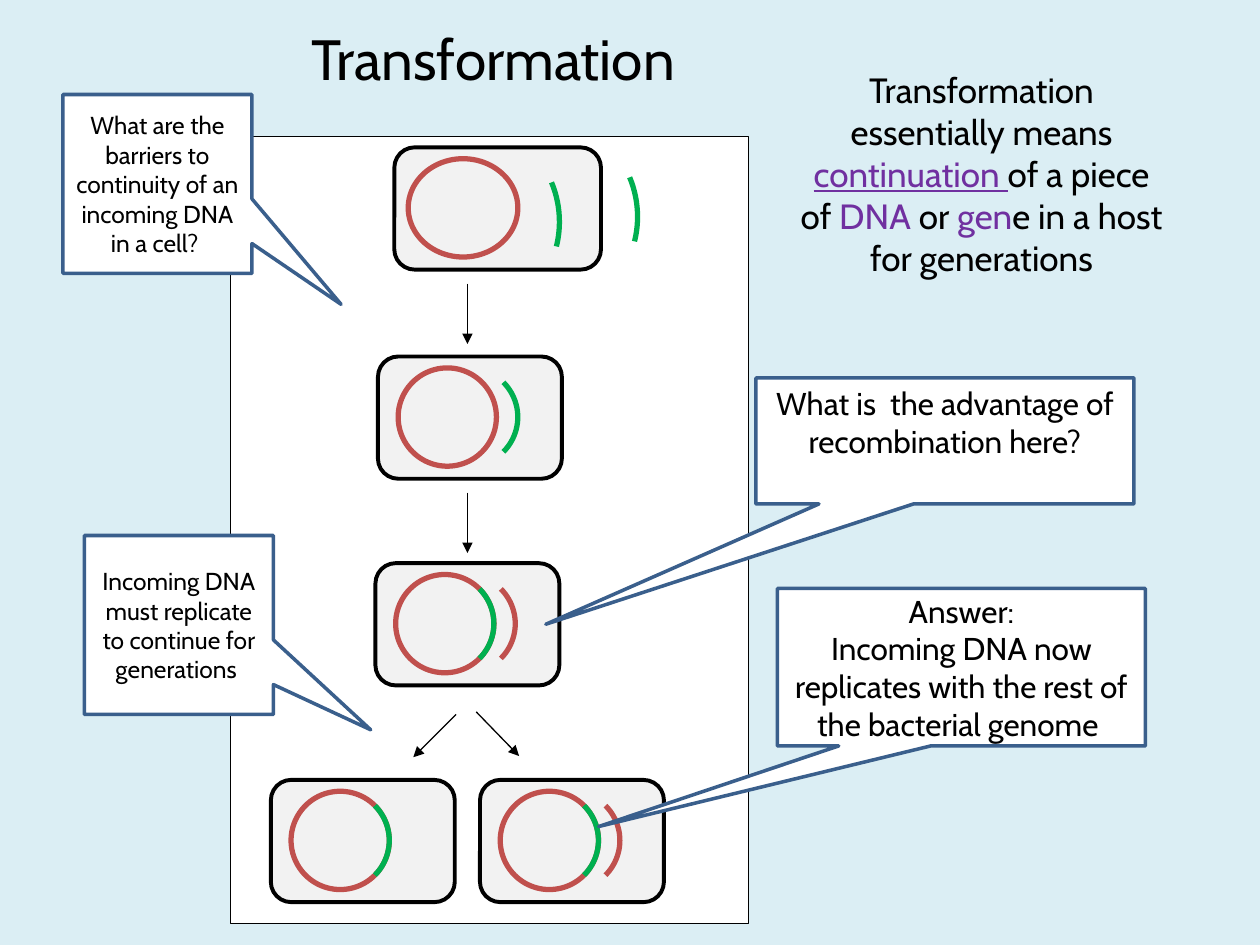
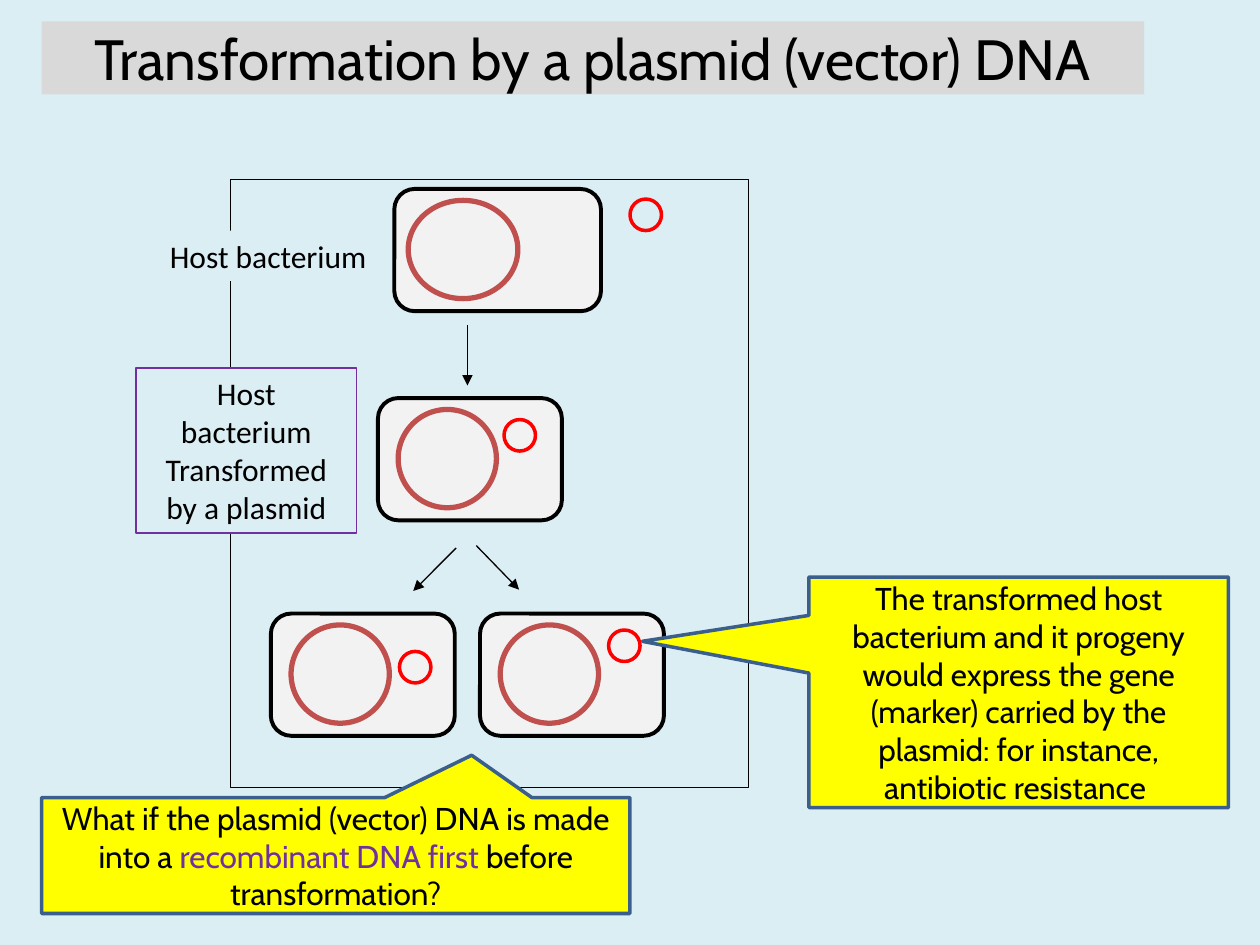
from pptx import Presentation, util as u
from pptx.dml.color import RGBColor
from pptx.enum import shapes, text
from pptx.oxml.ns import qn
from lxml import etree

KIND = shapes.MSO_SHAPE
ALIGN = text.PP_ALIGN
ANCHOR = text.MSO_ANCHOR
PALE, WHITE, BLACK = "DBEEF4", "FFFFFF", "000000"
GREY, BAND, YELLOW = "F2F2F2", "D9D9D9", "FFFF00"
RED, GREEN, BRIGHT = "C0504D", "00B050", "FF0000"
BLUE, PURPLE = "3A5F8C", "7030A0"
FONT = "Cabin"
RING = 0.39


def color(code):
    return RGBColor.from_string(code)


def box_of(*sides):
    return [u.Inches(round(side, 2)) for side in sides]


def paint(shape, fill=None, line=None, width=1):
    if fill:
        shape.fill.solid()
        shape.fill.fore_color.rgb = color(fill)
    else:
        shape.fill.background()
    if line:
        shape.line.color.rgb = color(line)
        shape.line.width = u.Pt(width)
    else:
        shape.line.fill.background()


def draw(slide, kind, box, fill=None, line=None, width=1):
    shape = slide.shapes.add_shape(kind, *box_of(*box))
    shape.shadow.inherit = False
    paint(shape, fill, line, width)
    return shape


def write(shape, paras, size, font=FONT, align=ALIGN.CENTER,
          anchor=ANCHOR.MIDDLE, wrap=True):
    frame = shape.text_frame
    frame.word_wrap = wrap
    frame.auto_size = text.MSO_AUTO_SIZE.NONE
    frame.vertical_anchor = anchor
    for i, parts in enumerate(paras):
        para = frame.add_paragraph() if i else frame.paragraphs[0]
        para.alignment = align
        para.font.name = font
        para.font.size = u.Pt(size)
        para.font.color.rgb = color(BLACK)
        for part in [parts] if isinstance(parts, str) else parts:
            words, tint, under = part if isinstance(part, tuple) else (part, None, False)
            run = para.add_run()
            run.text = words
            if tint:
                run.font.color.rgb = color(tint)
            if under:
                run.font.underline = True


def add_page(deck, title, box, fill):
    slide = deck.slides.add_slide(deck.slide_layouts[5])
    head = slide.shapes.title
    head.left, head.top, head.width, head.height = box_of(*box)
    paint(head, fill)
    write(head, [title], 32.4)
    return slide


def circle(slide, x, y, radius, line, width):
    draw(slide, KIND.OVAL, (x - radius, y - radius, 2 * radius, 2 * radius),
         None, line, width)


def arc(slide, x, y, line, radius=RING, start=315, end=45):
    shape = draw(slide, KIND.ARC, (x - radius, y - radius, 2 * radius, 2 * radius),
                 None, line, 3)
    shape.adjustments[0] = start * 0.6
    shape.adjustments[1] = end * 0.6


def cell(slide, x, y, wide=1.46, ring=0.78):
    draw(slide, KIND.ROUNDED_RECTANGLE, (x, y, wide, 0.97), GREY, BLACK, 2.25)
    mid, level = x + 0.55, y + 0.48
    draw(slide, KIND.OVAL, (mid - ring / 2, level - RING, ring, 2 * RING), GREY, RED, 3)
    return mid, level


def host(slide, y):
    cell(slide, 3.13, y, 1.64, 0.87)


def strand(slide, x, y):
    arc(slide, x, y, GREEN, 0.81, 337.3, 14)


def arrow(slide, x1, y1, x2, y2):
    line = slide.shapes.add_connector(shapes.MSO_CONNECTOR.STRAIGHT,
                                      *box_of(x1, y1, x2, y2))
    line.line.color.rgb = color(BLACK)
    line.line.width = u.Pt(0.75)
    etree.SubElement(line.line._get_or_add_ln(), qn("a:tailEnd"), type="triangle")
    etree.SubElement(line._element.spPr, qn("a:effectLst"))


def step(slide, y):
    arrow(slide, 3.71, y, 3.71, y + 0.48)


def fork(slide, y):
    arrow(slide, 3.78, y, 4.12, y + 0.35)
    arrow(slide, 3.62, y + 0.02, 3.28, y + 0.36)


def callout(slide, box, tip, paras, size=18, fill=WHITE, anchor=ANCHOR.MIDDLE):
    shape = draw(slide, KIND.RECTANGULAR_CALLOUT, box, fill, BLUE, 2)
    for i, value in enumerate(tip):
        shape.adjustments[i] = value
    write(shape, paras, size, anchor=anchor)


def label(slide, box, paras, line=None, align=ALIGN.CENTER, wrap=True):
    shape = slide.shapes.add_textbox(*box_of(*box))
    paint(shape, PALE, line, 0.75)
    write(shape, paras, 18, "Calibri", align, ANCHOR.TOP, wrap)


def linear(deck):
    slide = add_page(deck, "Transformation", (1.83, 0.17, 4.17, 0.58), PALE)
    draw(slide, KIND.RECTANGLE, (1.83, 1.08, 4.11, 6.25), WHITE, BLACK, 0.25)

    host(slide, 1.17)
    strand(slide, 3.63, 1.76)
    strand(slide, 4.25, 1.72)
    step(slide, 2.25)

    mid, level = cell(slide, 3, 2.83)
    arc(slide, mid + 0.17, level, GREEN)
    step(slide, 3.91)

    for x, y, spare in [(2.98, 4.47, True), (2.15, 6.19, False), (3.81, 6.19, True)]:
        mid, level = cell(slide, x, y)
        if spare:
            arc(slide, mid + 0.17, level, RED)
        arc(slide, mid, level, GREEN)
    fork(slide, 5.65)

    note = draw(slide, KIND.RECTANGLE, (6.25, 0.25, 3.08, 2.25), PALE)
    write(note, [
        "Transformation",
        ["essentially means ", ("continuation ", PURPLE, True), "of a piece of ",
         ("DNA", PURPLE, False), " or ", ("gen", PURPLE, False),
         "e in a host for generations"],
    ], 20)

    callout(slide, (0.5, 0.75, 1.5, 1.42), (0.972, 0.673),
            ["What are the barriers to continuity of an incoming DNA in a cell? "], 14)
    callout(slide, (0.67, 4.25, 1.5, 1.42), (1.015, 0.586),
            ["Incoming DNA must replicate to continue for generations "], 14)
    callout(slide, (6, 3, 3, 1), (-1.056, 1.455),
            ["What is  the advantage of recombination here?"], anchor=ANCHOR.TOP)
    callout(slide, (6.17, 4.67, 2.92, 1.25), (-0.986, 1.012),
            ["Answer:",
             "Incoming DNA now replicates with the rest of the bacterial genome "])


def plasmid(deck):
    slide = add_page(deck, "Transformation by a plasmid (vector) DNA",
                     (0.33, 0.17, 8.75, 0.58), BAND)
    draw(slide, KIND.RECTANGLE, (1.83, 1.42, 4.11, 4.83), PALE, BLACK, 0.25)

    host(slide, 1.5)
    step(slide, 2.58)
    for x, y in [(3, 3.16), (2.15, 4.87), (3.81, 4.87)]:
        cell(slide, x, y)
    fork(slide, 4.33)
    for x, y in [(5.13, 1.71), (4.13, 3.46), (4.96, 5.13), (3.3, 5.3)]:
        circle(slide, x, y, 0.125, BRIGHT, 2)

    label(slide, (1.25, 1.83, 1.78, 0.4), ["Host bacterium"],
          align=ALIGN.LEFT, wrap=False)
    label(slide, (1.08, 2.92, 1.75, 1.31),
          ["Host bacterium", "Transformed by a plasmid"], PURPLE)

    callout(slide, (6.42, 4.58, 3.33, 1.83), (-0.897, -0.221),
            ["The transformed host bacterium and it progeny would express the gene "
             "(marker) carried by the plasmid: for instance, antibiotic resistance "],
            fill=YELLOW)
    callout(slide, (0.33, 6.33, 4.67, 0.92), (0.231, -0.865),
            [["What if the plasmid (vector) DNA is made into a ",
              ("recombinant DNA first ", PURPLE, False), "before transformation?"]],
            fill=YELLOW)


def main():
    deck = Presentation()
    deck.slide_width, deck.slide_height = box_of(10, 7.5)
    back = deck.slide_master.background.fill
    back.solid()
    back.fore_color.rgb = color(PALE)
    linear(deck)
    plasmid(deck)
    deck.save("out.pptx")


if __name__ == "__main__":
    main()
